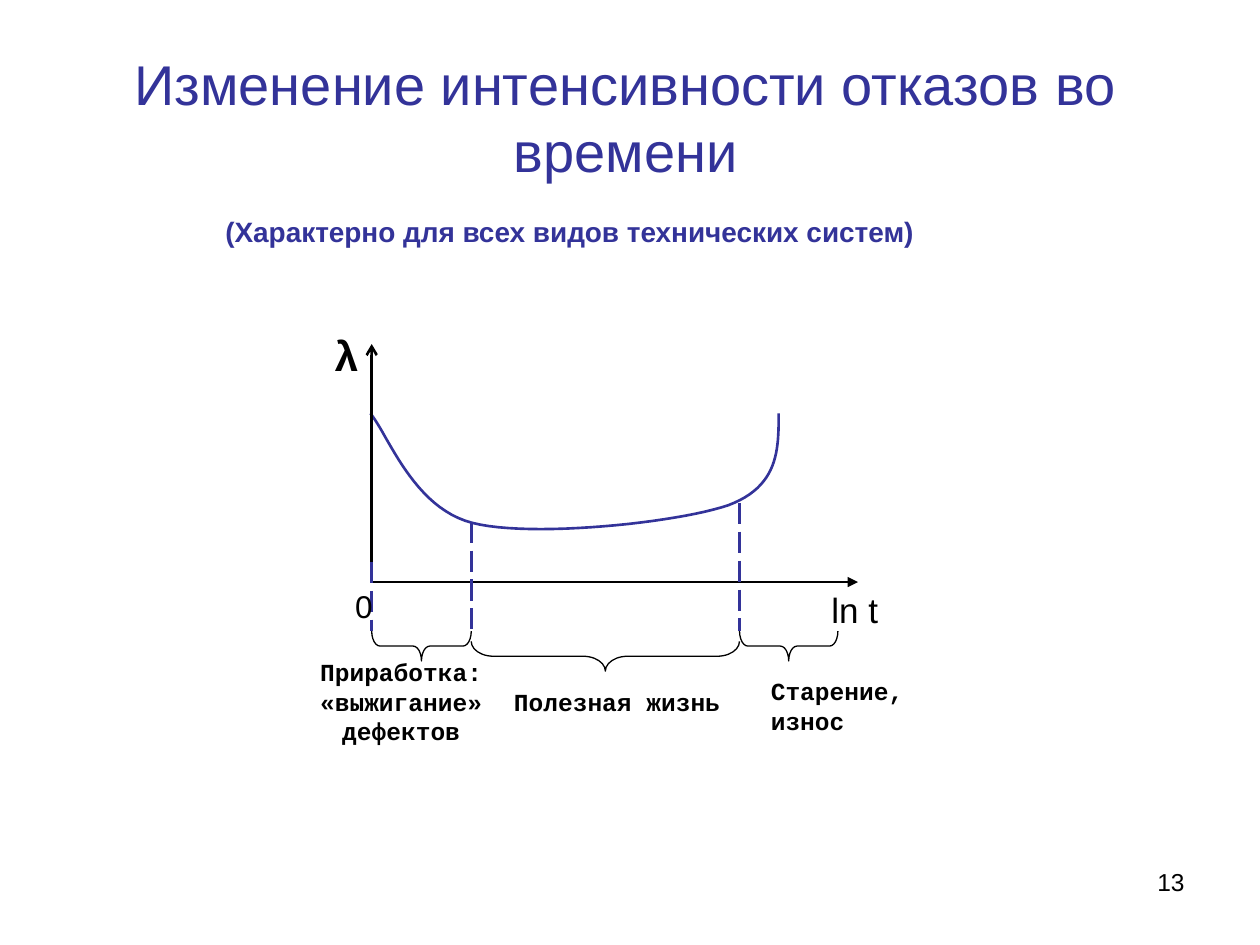
from typing import NamedTuple, Optional

from lxml.etree import SubElement
from pptx import Presentation
from pptx.dml.color import RGBColor
from pptx.enum.dml import MSO_LINE_DASH_STYLE as Dash
from pptx.enum.shapes import MSO_CONNECTOR, MSO_SHAPE
from pptx.enum.text import MSO_ANCHOR as Anchor, PP_ALIGN as Align
from pptx.oxml.ns import qn
from pptx.util import Pt

BLUE = RGBColor(0x33, 0x33, 0x99)
BLACK = RGBColor(0, 0, 0)
ORIGIN_X, ORIGIN_Y = 212.4, 332.6
WEAR_IN_X, AGING_X, END_X = 269.3, 422.6, 478.8
DASH_BOTTOM = 360.7
BRACE_DEPTH = 17


class Label(NamedTuple):
    text: str
    x: float
    y: float
    w: float
    h: float
    size: float
    font: str = "Arial"
    color: RGBColor = BLACK
    bold: bool = False
    align: Align = Align.LEFT
    anchor: Anchor = Anchor.TOP


class Line(NamedTuple):
    x1: float
    y1: float
    x2: float
    y2: float
    color: RGBColor = BLACK
    dash: Optional[Dash] = None
    arrow: Optional[str] = None


class Brace(NamedTuple):
    left: float
    right: float
    top: float
    curl: float


LABELS = [
    Label("Изменение интенсивности отказов во времени", 14.4, 21.6, 686.2, 90, 32,
          color=BLUE, align=Align.CENTER, anchor=Anchor.MIDDLE),
    Label("(Характерно для всех видов технических систем)", 121.7, 118.8, 436.3, 26.6, 16,
          color=BLUE, bold=True),
    Label("λ", 184.3, 185, 28.1, 36, 24, bold=True),
    Label("ln t", 468, 332.6, 45.4, 31.7, 20),
    Label("0", 195.8, 331.9, 28.1, 28.8, 18),
    Label("Полезная жизнь", 286.6, 388.8, 136.1, 24.5, 14, "Courier New", bold=True),
    Label("Приработка: «выжигание» дефектов", 172.8, 372.2, 113, 57.6, 14, "Courier New",
          bold=True, align=Align.CENTER),
    Label("Старение, износ", 433.4, 383, 90.8, 41, 14, "Courier New", bold=True),
    Label("13", 516.2, 491.8, 167.8, 37.4, 14, align=Align.RIGHT),
]

LINES = [
    Line(ORIGIN_X, ORIGIN_Y, ORIGIN_X, 196.6, arrow="arrow"),
    Line(ORIGIN_X, ORIGIN_Y, 490.3, ORIGIN_Y, arrow="triangle"),
    *(Line(x, top, x, DASH_BOTTOM, BLUE, Dash.LONG_DASH)
      for x, top in ((WEAR_IN_X, 298.1), (AGING_X, 287.3), (ORIGIN_X, 321.1))),
]

BRACES = [
    Brace(ORIGIN_X, WEAR_IN_X, DASH_BOTTOM, 0.28),
    Brace(AGING_X, END_X, DASH_BOTTOM, 0.28),
    Brace(WEAR_IN_X, AGING_X, 366.5, 0.75),
]

CURVE = [
    (445, 236.2), (445, 257), (445, 277.9), (416.2, 288.7), (386.6, 298.8),
    (303.8, 307.4), (270, 298.8), (236.2, 290.2), (221.8, 248.4), (211.7, 236.2),
]


def add_label(s, label: Label) -> None:
    tf = s.shapes.add_textbox(*map(Pt, label[1:5])).text_frame
    tf.word_wrap = True
    tf.vertical_anchor = label.anchor
    p = tf.paragraphs[0]
    p.text = label.text
    p.alignment = label.align
    p.font.name = label.font
    p.font.size = Pt(label.size)
    p.font.bold = label.bold
    p.font.color.rgb = label.color


def add_line(s, line: Line) -> None:
    sp = s.shapes.add_connector(MSO_CONNECTOR.STRAIGHT, *map(Pt, line[:4]))
    sp.line.color.rgb = line.color
    sp.line.width = Pt(1.5)
    if line.dash:
        sp.line.dash_style = line.dash
    if line.arrow:
        SubElement(sp.line._get_or_add_ln(), qn("a:tailEnd"), type=line.arrow)
    SubElement(sp._element.spPr, qn("a:effectLst"))


def add_brace(s, brace: Brace) -> None:
    length = brace.right - brace.left
    x = (brace.left + brace.right - BRACE_DEPTH) / 2
    y = brace.top + (BRACE_DEPTH - length) / 2
    sp = s.shapes.add_shape(MSO_SHAPE.LEFT_BRACE, Pt(x), Pt(y), Pt(BRACE_DEPTH), Pt(length))
    sp.rotation = 270
    sp.adjustments[0] = brace.curl
    sp.shadow.inherit = False
    sp.fill.background()
    sp.line.color.rgb = BLACK
    sp.line.width = Pt(0.75)


def bezier(points: list, t: float) -> tuple:
    weights = ((1 - t) ** 3, 3 * t * (1 - t) ** 2, 3 * t * t * (1 - t), t ** 3)
    return tuple(Pt(sum(w * v for w, v in zip(weights, axis))) for axis in zip(*points))


def add_curve(s, points: list, steps: int = 24) -> None:
    builder = s.shapes.build_freeform(*map(Pt, points[0]))
    builder.add_line_segments(
        [bezier(points[i:i + 4], n / steps)
         for i in range(0, len(points) - 1, 3) for n in range(1, steps + 1)],
        close=False)
    sp = builder.convert_to_shape()
    sp.shadow.inherit = False
    sp.fill.background()
    sp.line.color.rgb = BLUE
    sp.line.width = Pt(1.5)


def main() -> None:
    """Build the failure-rate bathtub curve slide."""
    prs = Presentation()
    prs.slide_width, prs.slide_height = Pt(720), Pt(540)
    s = prs.slides.add_slide(prs.slide_layouts[6])
    add_curve(s, CURVE)
    for line in LINES:
        add_line(s, line)
    for brace in BRACES:
        add_brace(s, brace)
    for label in LABELS:
        add_label(s, label)
    prs.save("out.pptx")


if __name__ == "__main__":
    main()
